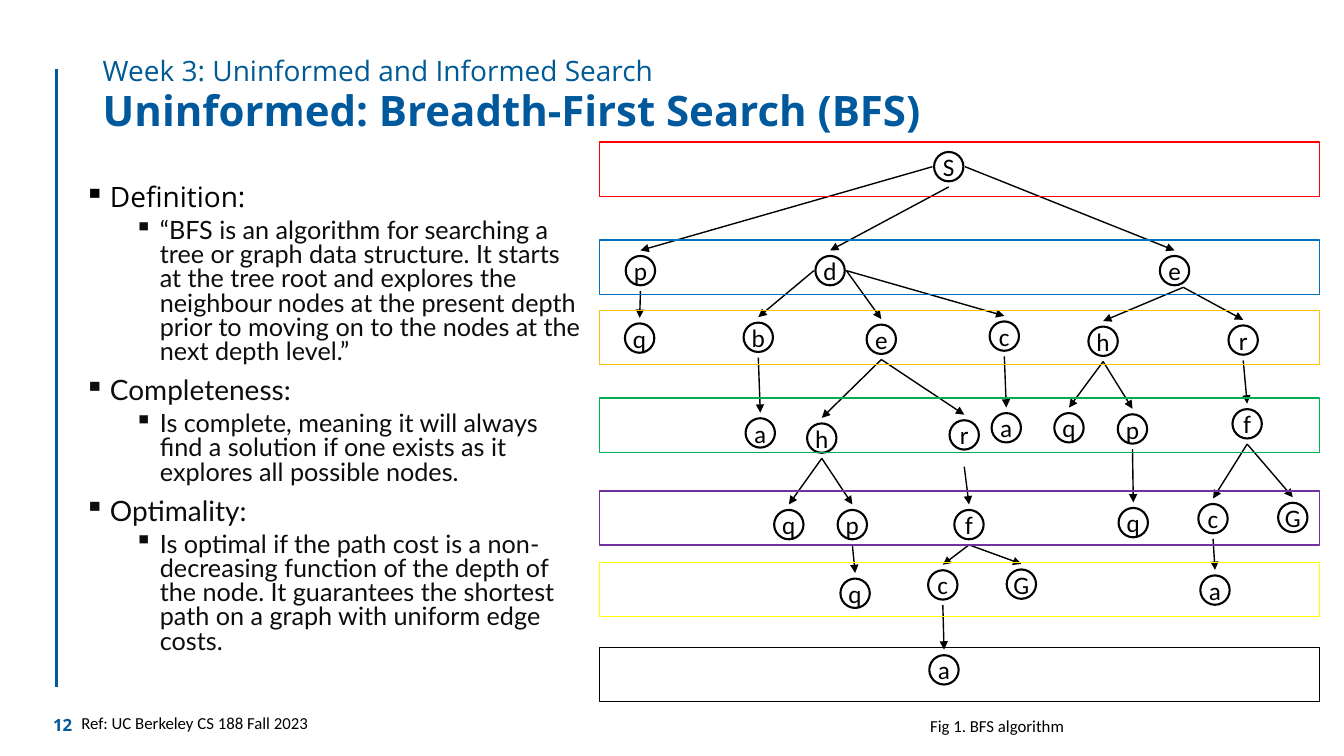
from dataclasses import dataclass

from lxml.etree import SubElement
from pptx import Presentation
from pptx.dml.color import RGBColor
from pptx.enum.shapes import MSO_CONNECTOR, MSO_SHAPE
from pptx.enum.text import MSO_ANCHOR, PP_ALIGN
from pptx.oxml.ns import qn
from pptx.util import Cm, Pt


@dataclass(frozen=True)
class Theme:
    blue: str = "00599C"
    subtitle_blue: str = "005A96"
    black: str = "000000"
    body: str = "0D0D0D"
    heading_font: str = "Open Sans"
    body_font: str = "Lato"
    label_font: str = "Calibri"
    title_size: int = 30
    heading_size: int = 20
    text_size: int = 18
    small_size: int = 12


THEME = Theme()


@dataclass(frozen=True)
class Node:
    """A tree node: label, centre in cm, children, and where its incoming edge leaves the parent."""
    label: str
    x: float
    y: float
    children: tuple = ()
    leaves: str = "bottom"


NODE_DIAMETER = 0.74
EDGE_GAP = 0.51
EDGE_STARTS = {
    "bottom": (0, EDGE_GAP),
    "low": (0, 0.8),
    "corner": (0.22, 0.42),
    "left": (-0.41, 0),
    "right": (0.41, 0),
}

SEARCH_TREE = Node("S", 23.91, 4.2, (
    Node("p", 16.14, 6.82, (Node("q", 16.12, 8.52),), "left"),
    Node("d", 20.92, 6.82, (
        Node("b", 19.11, 8.5, (Node("a", 19.16, 10.91),), "left"),
        Node("e", 22.21, 8.55, (
            Node("h", 20.71, 11.04, (
                Node("q", 19.88, 13.22),
                Node("p", 21.48, 13.22, (Node("q", 21.55, 14.95),)),
            )),
            Node("r", 24.3, 10.96, (
                Node("f", 24.42, 13.22, (
                    Node("c", 23.76, 14.74, (Node("a", 23.79, 16.88),)),
                    Node("G", 25.74, 14.72),
                ), "low"),
            )),
        ), "right"),
        Node("c", 25.31, 8.47, (Node("a", 25.36, 10.78),), "right"),
    )),
    Node("e", 29.6, 6.82, (
        Node("h", 27.8, 8.6, (
            Node("q", 26.94, 10.78),
            Node("p", 28.54, 10.81, (Node("q", 28.56, 13.17),)),
        ), "corner"),
        Node("r", 31.33, 8.57, (
            Node("f", 31.43, 10.68, (
                Node("c", 30.57, 13.07, (Node("a", 30.62, 14.87),)),
                Node("G", 32.58, 13.04),
            )),
        ), "corner"),
    ), "right"),
))

DEPTH_BANDS = (
    (3.58, "FF0000"), (6.05, "0070C0"), (7.82, "FFC000"), (10.03, "00B050"),
    (12.37, "7030A0"), (14.17, "FFFF00"), (16.31, "000000"),
)

PROPERTIES = (
    ("Definition:", "“BFS is an algorithm for searching a tree or graph data structure. "
     "It starts at the tree root and explores the neighbour nodes at the present depth "
     "prior to moving on to the nodes at the next depth level.”"),
    ("Completeness:", "Is complete, meaning it will always find a solution if one exists "
     "as it explores all possible nodes."),
    ("Optimality:", "Is optimal if the path cost is a non-decreasing function of the depth "
     "of the node. It guarantees the shortest path on a graph with uniform edge costs."),
)


def format_text(paragraph, size, font, color, bold=False):
    for run in paragraph.runs:
        run.font.size = Pt(size)
        run.font.name = font
        run.font.bold = bold
        run.font.color.rgb = RGBColor.from_string(color)


def add_text(slide, box, text, size, font, color, bold=False, anchor=MSO_ANCHOR.TOP, spacing=None):
    frame = slide.shapes.add_textbox(*map(Cm, box)).text_frame
    frame.word_wrap = True
    frame.vertical_anchor = anchor
    frame.text = text
    frame.paragraphs[0].line_spacing = spacing
    format_text(frame.paragraphs[0], size, font, color, bold)


def add_line(slide, start, end, color, width):
    line = slide.shapes.add_connector(MSO_CONNECTOR.STRAIGHT, *map(Cm, (*start, *end)))
    line.line.color.rgb = RGBColor.from_string(color)
    line.line.width = Pt(width)
    SubElement(line._element.spPr, qn("a:effectLst"))
    return line


def add_outline(slide, kind, box, color, width):
    shape = slide.shapes.add_shape(kind, *map(Cm, box))
    shape.shadow.inherit = False
    shape.fill.background()
    shape.line.color.rgb = RGBColor.from_string(color)
    shape.line.width = Pt(width)
    return shape


def add_node(slide, node):
    radius = NODE_DIAMETER / 2
    box = (node.x - radius, node.y - radius, NODE_DIAMETER, NODE_DIAMETER)
    frame = add_outline(slide, MSO_SHAPE.OVAL, box, THEME.black, 1.5).text_frame
    frame.margin_left = frame.margin_right = frame.margin_top = frame.margin_bottom = 0
    frame.word_wrap = False
    frame.vertical_anchor = MSO_ANCHOR.MIDDLE
    frame.text = node.label
    frame.paragraphs[0].alignment = PP_ALIGN.CENTER
    format_text(frame.paragraphs[0], THEME.text_size, THEME.label_font, THEME.black)


def add_edge(slide, parent, child):
    shift_x, shift_y = EDGE_STARTS[child.leaves]
    edge = add_line(slide, (parent.x + shift_x, parent.y + shift_y),
                    (child.x, child.y - EDGE_GAP), THEME.black, 1)
    SubElement(edge.line._get_or_add_ln(), qn("a:tailEnd"), type="triangle")


def add_tree(slide, node):
    add_node(slide, node)
    for child in node.children:
        add_edge(slide, node, child)
        add_tree(slide, child)


def set_bullet(paragraph, left):
    properties = paragraph._p.get_or_add_pPr()
    properties.set("marL", str(Cm(left)))
    properties.set("indent", str(-Cm(0.64)))
    SubElement(properties, qn("a:buChar"), char="▪")


def add_properties(slide, box):
    frame = slide.shapes.add_textbox(*map(Cm, box)).text_frame
    frame.word_wrap = True
    lines = [line for pair in PROPERTIES for line in pair]
    for index, line in enumerate(lines):
        paragraph = frame.paragraphs[0] if index == 0 else frame.add_paragraph()
        level = index % 2
        paragraph.text = line
        paragraph.level = level
        paragraph.line_spacing = 0.8
        paragraph.space_before = Pt(5 if level else 10)
        set_bullet(paragraph, 1.9 if level else 0.64)
        format_text(paragraph, THEME.text_size if level else THEME.heading_size,
                    THEME.body_font, THEME.body)
    format_text(frame.paragraphs[0], THEME.heading_size, THEME.heading_font, THEME.black)


def main():
    presentation = Presentation()
    presentation.slide_width, presentation.slide_height = Cm(33.87), Cm(19.05)
    slide = presentation.slides.add_slide(presentation.slide_layouts[6])

    add_line(slide, (1.42, 1.73), (1.42, 17.32), THEME.blue, 2.25)
    add_text(slide, (2.34, 1.32, 28.14, 1.4), "Week 3: Uninformed and Informed Search",
             THEME.heading_size, THEME.heading_font, THEME.subtitle_blue, spacing=0.9)
    add_text(slide, (2.34, 1.85, 28.14, 1.98), "Uninformed: Breadth-First Search (BFS)",
             THEME.title_size, THEME.heading_font, THEME.blue, True, MSO_ANCHOR.MIDDLE, 0.9)
    add_properties(slide, (1.88, 4.57, 13.03, 12.09))

    add_tree(slide, SEARCH_TREE)
    for top, color in DEPTH_BANDS:
        add_outline(slide, MSO_SHAPE.RECTANGLE, (15.11, top, 18.14, 1.37), color, 1)

    add_text(slide, (23.19, 17.91, 4.01, 0.76), "Fig 1. BFS algorithm",
             THEME.small_size, THEME.label_font, THEME.black)
    add_text(slide, (1.09, 17.73, 7.16, 1.09), "12",
             THEME.small_size, THEME.heading_font, THEME.blue, True, MSO_ANCHOR.MIDDLE)
    add_text(slide, (1.8, 17.83, 6.8, 0.76), "Ref: UC Berkeley CS 188 Fall 2023",
             THEME.small_size, THEME.label_font, THEME.black)
    presentation.save("out.pptx")


if __name__ == "__main__":
    main()
